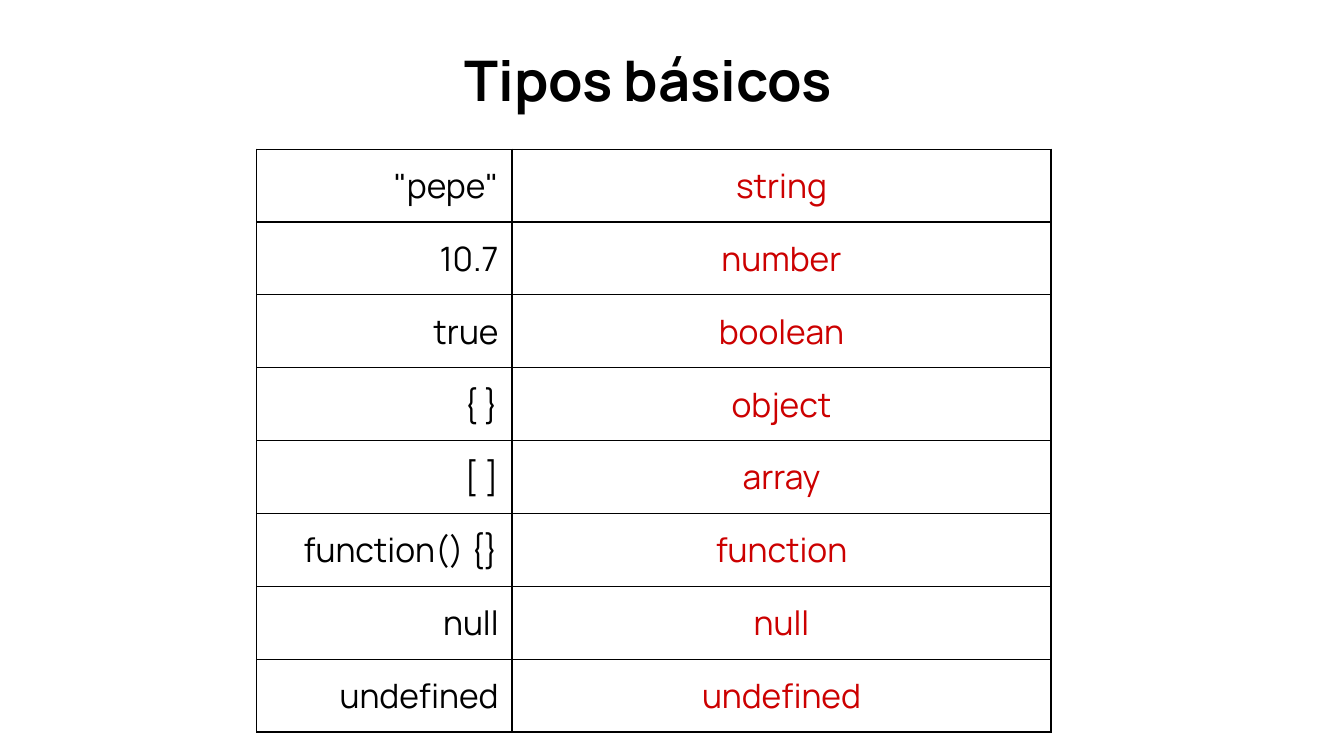
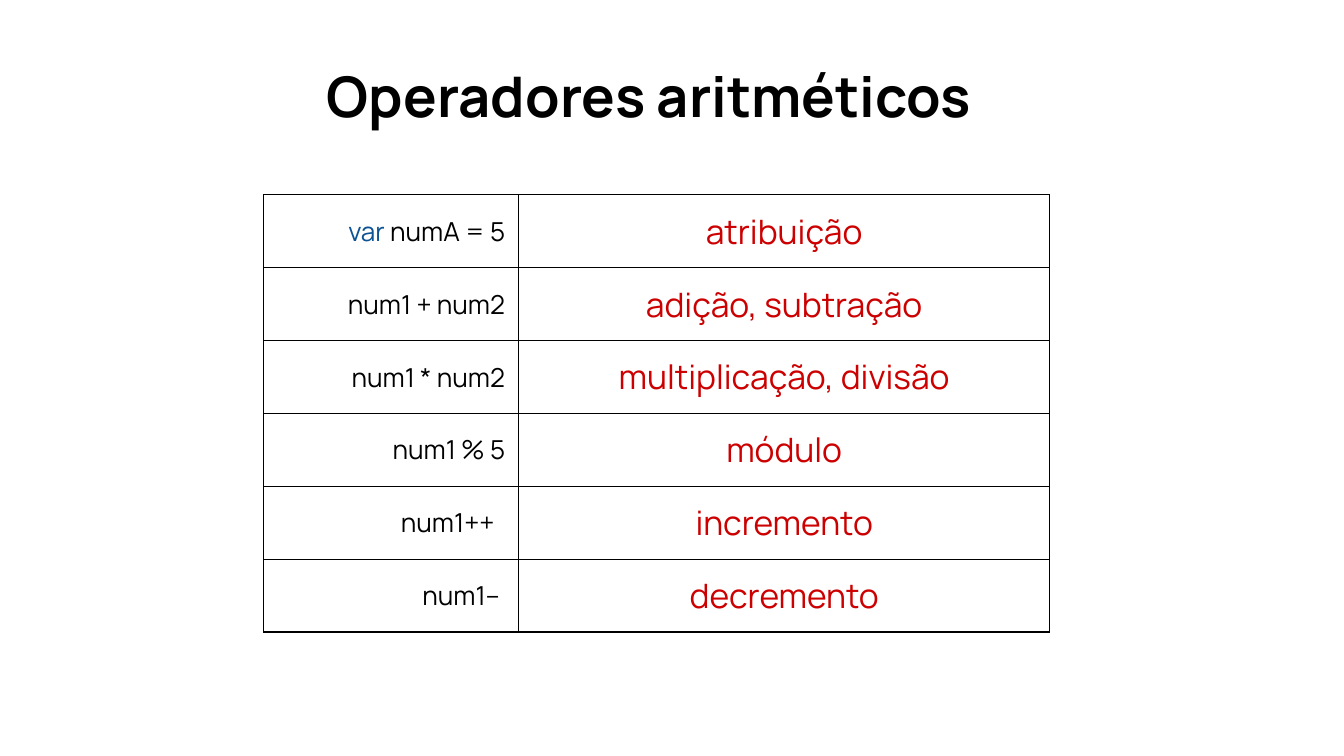
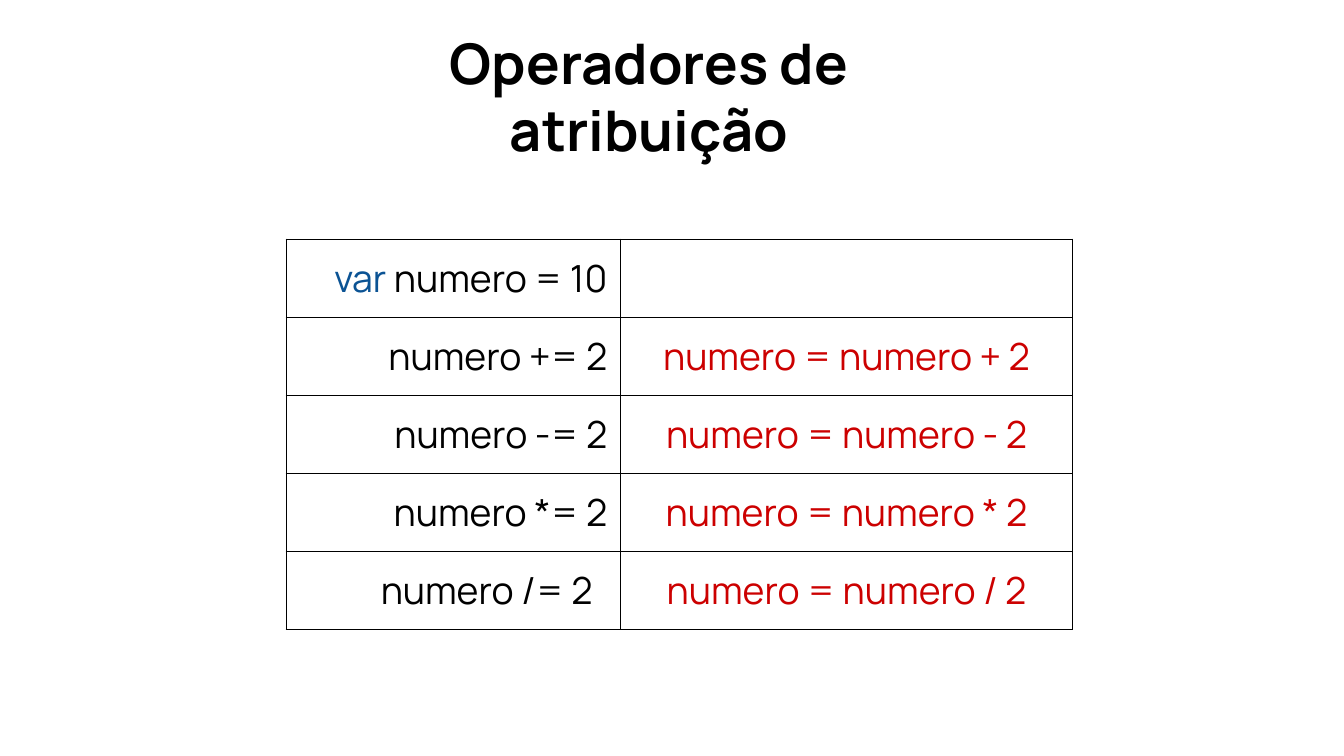
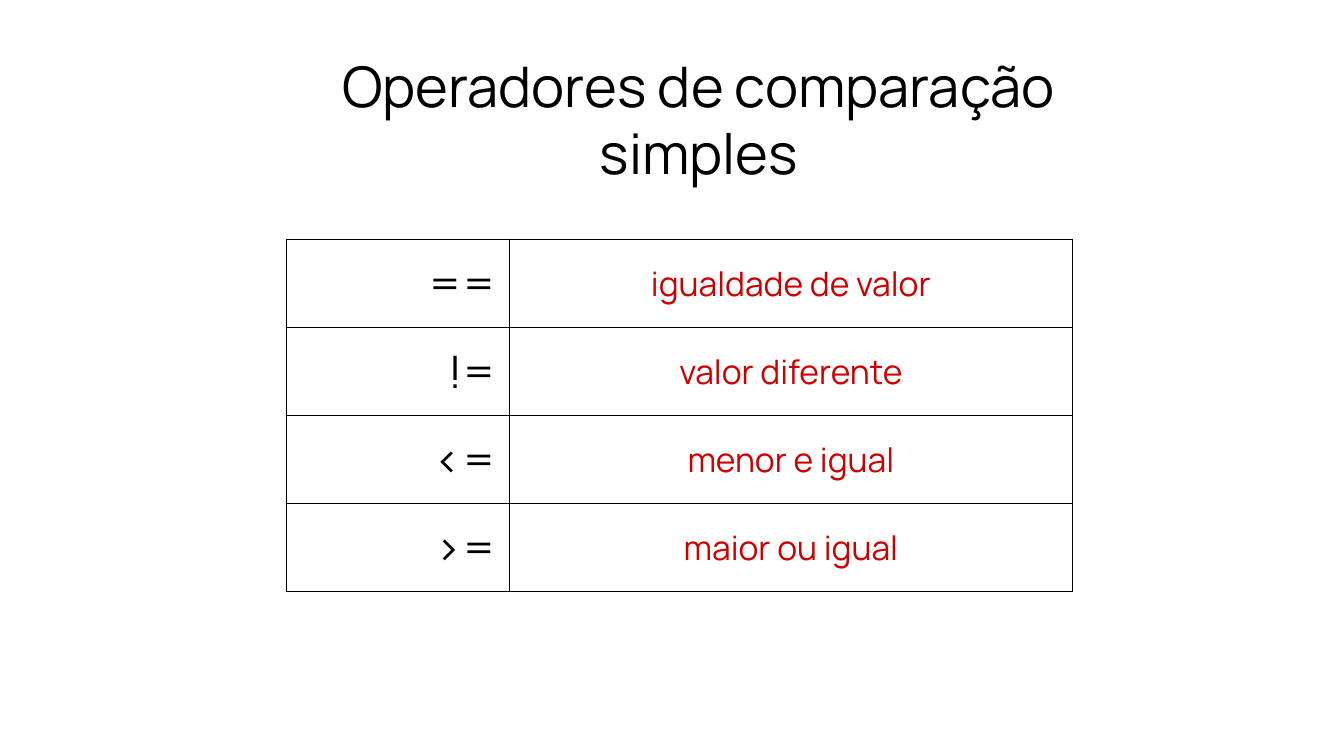
from lxml.etree import SubElement
from pptx import Presentation
from pptx.dml.color import RGBColor
from pptx.enum.text import MSO_ANCHOR, MSO_AUTO_SIZE, PP_ALIGN
from pptx.oxml.ns import qn
from pptx.util import Inches, Pt

FONT = "Manrope"
BLACK, RED, BLUE = "000000", "CC0000", "0B5394"
INSET = 0.1
TITLE_SIZE = 30
BORDER_WIDTH = 0.75
TITLE_ONLY = 5
KEYWORD = "var"


def color(hex_string):
    """Turn a hex string into a colour."""
    return RGBColor.from_string(hex_string)


class TypeDeck:
    """Hold the shared style and the current slide."""

    def __init__(self):
        """Open an empty widescreen deck."""
        self.deck = Presentation()
        self.deck.slide_width = Inches(10)
        self.deck.slide_height = Inches(10) * 9 // 16
        self.page = None

    def add_page(self):
        """Start a white slide."""
        self.page = self.deck.slides.add_slide(self.deck.slide_layouts[TITLE_ONLY])
        self.page.background.fill.solid()
        self.page.background.fill.fore_color.rgb = color("FFFFFF")

    def style_span(self, span, size, hex_string, bold=False):
        """Format one run."""
        span.font.name = FONT
        span.font.size = Pt(size)
        span.font.bold = bold
        span.font.color.rgb = color(hex_string)

    def set_insets(self, target):
        """Give a frame or cell the same inset on every side."""
        for side in ("left", "top", "right", "bottom"):
            setattr(target, f"margin_{side}", Inches(INSET))

    def title(self, text, left, top, width, height, bold=True):
        """Place and format the title placeholder."""
        box = self.page.shapes.title
        box.left, box.top = Inches(left), Inches(top)
        box.width, box.height = Inches(width), Inches(height)
        frame = box.text_frame
        frame.text = text
        frame.word_wrap = True
        frame.auto_size = MSO_AUTO_SIZE.NONE
        frame.vertical_anchor = MSO_ANCHOR.MIDDLE
        self.set_insets(frame)
        para = frame.paragraphs[0]
        para.alignment = PP_ALIGN.CENTER
        para.line_spacing = 1.0
        self.style_span(para.runs[0], TITLE_SIZE, BLACK, bold)

    def border(self, cell):
        """Draw a thin black line on all four sides of a cell."""
        properties = cell._tc.get_or_add_tcPr()
        for position, side in enumerate(("lnL", "lnR", "lnT", "lnB")):
            line = SubElement(properties, qn(f"a:{side}"), w=str(Pt(BORDER_WIDTH)))
            fill = SubElement(line, qn("a:solidFill"))
            SubElement(fill, qn("a:srgbClr"), val=BLACK)
            properties.insert(position, line)

    def cell(self, cell, text, size, hex_string, alignment):
        """Fill one cell, with a leading keyword in blue."""
        cell.fill.background()
        cell.vertical_anchor = MSO_ANCHOR.MIDDLE
        self.set_insets(cell)
        self.border(cell)
        para = cell.text_frame.paragraphs[0]
        para.alignment = alignment
        if text.startswith(KEYWORD + " "):
            keyword = para.add_run()
            keyword.text = KEYWORD
            self.style_span(keyword, size, BLUE)
            text = text.removeprefix(KEYWORD)
        if text:
            span = para.add_run()
            span.text = text
            self.style_span(span, size, hex_string)

    def table(self, rows, left, top, widths, row_height, sizes, end_gaps=None):
        """Add a table of code on the left and its meaning on the right."""
        frame = self.page.shapes.add_table(
            len(rows), len(widths), Inches(left), Inches(top),
            Inches(sum(widths)), Inches(row_height * len(rows)))
        table = frame.table
        table.first_row = False
        table.horz_banding = False
        for column, width in zip(table.columns, widths):
            column.width = Inches(width)
        styles = list(zip(sizes, (BLACK, RED), (PP_ALIGN.RIGHT, PP_ALIGN.CENTER)))
        for row_index, texts in enumerate(rows):
            table.rows[row_index].height = Inches(row_height)
            for column_index, (text, style) in enumerate(zip(texts, styles)):
                self.cell(table.cell(row_index, column_index), text, *style)
        for row_index, gap in (end_gaps or {}).items():
            table.cell(row_index, 0).margin_right = Inches(INSET + gap)


BASIC_TYPES = [
    ('"pepe"', "string"),
    ("10.7", "number"),
    ("true", "boolean"),
    ("{ }", "object"),
    ("[ ]", "array"),
    ("function() {}", "function"),
    ("null", "null"),
    ("undefined", "undefined"),
]
ARITHMETIC = [
    ("var numA = 5", "atribuição"),
    ("num1 + num2", "adição, subtração"),
    ("num1 * num2", "multiplicação, divisão"),
    ("num1 % 5", "módulo"),
    ("num1++", "incremento"),
    ("num1--", "decremento"),
]
ASSIGNMENT = [("var numero = 10", "")] + [
    (f"numero {sign}= 2", f"numero = numero {sign} 2") for sign in "+-*/"
]
COMPARISON = [
    ("==", "igualdade de valor"),
    ("!=", "valor diferente"),
    ("<=", "menor e igual"),
    (">=", "maior ou igual"),
]


def main():
    """Build and save the four slides."""
    show = TypeDeck()

    show.add_page()
    show.title("Tipos básicos", 2.67, 0.11, 4.31, 0.96)
    show.table(BASIC_TYPES, 1.91, 1.11, (1.9, 4.01), 0.54, (18, 18))

    show.add_page()
    show.title("Operadores aritméticos", 2.22, 0.28, 5.22, 0.86)
    show.table(ARITHMETIC, 1.96, 1.45, (1.9, 3.95), 0.54, (14, 18),
               {4: 0.08, 5: 0.04})

    show.add_page()
    show.title("Operadores de atribuição", 2.22, 0.28, 5.22, 0.86)
    show.table(ASSIGNMENT, 2.13, 1.78, (2.49, 3.36), 0.58, (20, 20), {4: 0.11})

    show.add_page()
    show.title("Operadores de comparação simples", 1.89, 0.45, 6.62, 0.86, bold=False)
    show.table(COMPARISON, 2.13, 1.78, (1.66, 4.19), 0.65, (24, 18))

    show.deck.save("out.pptx")


if __name__ == "__main__":
    main()
